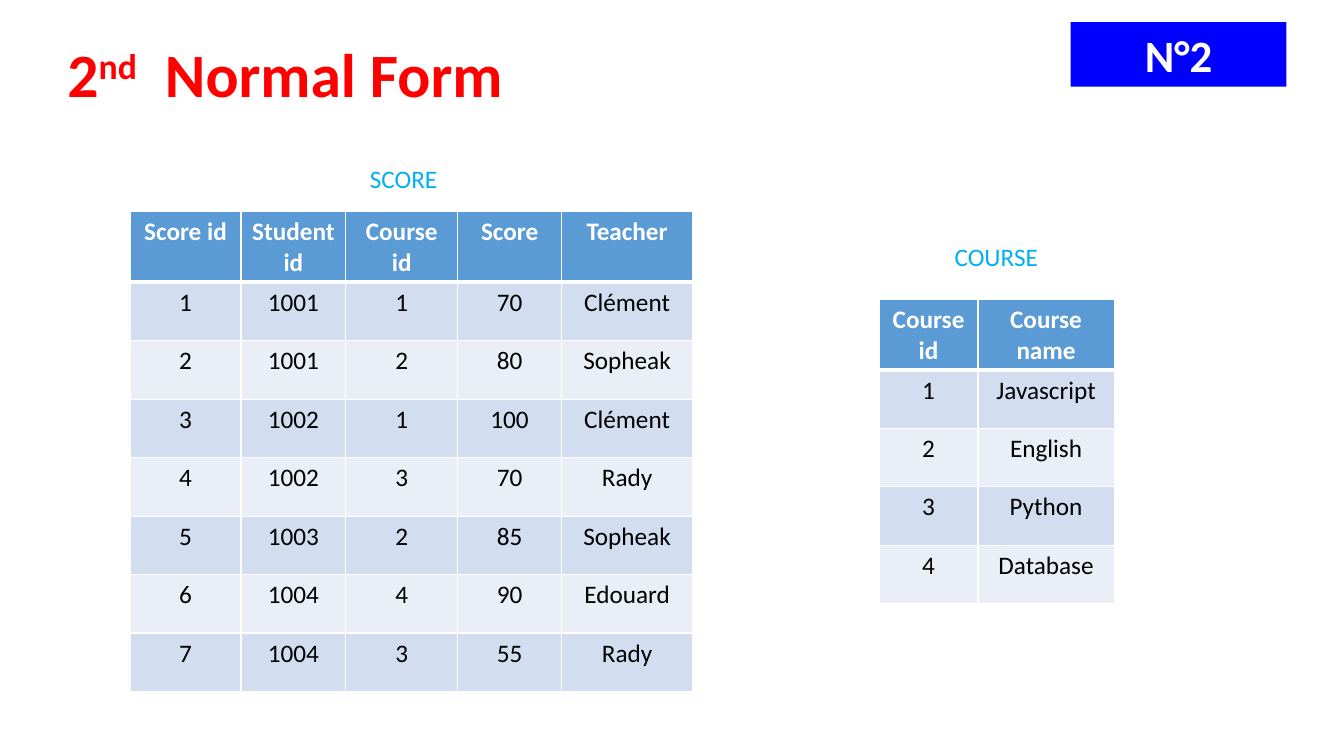
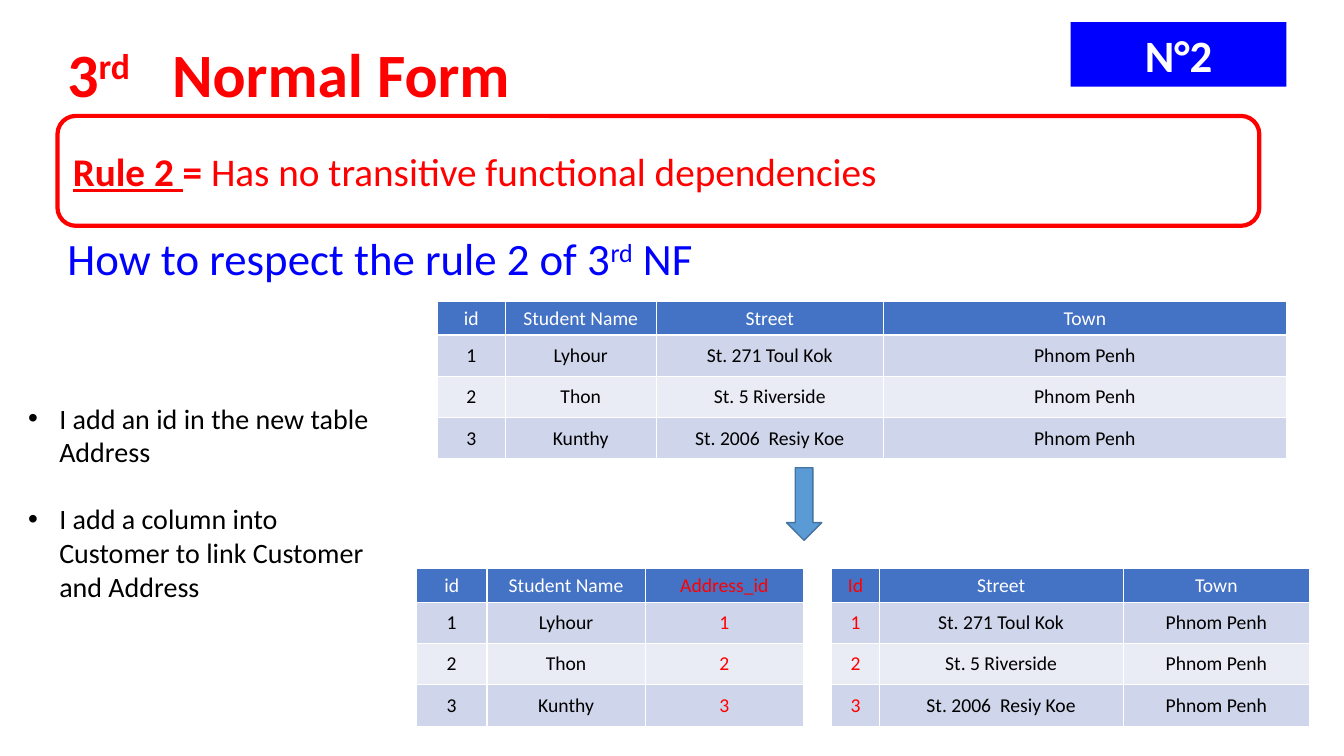
from lxml.etree import SubElement
from pptx import Presentation
from pptx.dml.color import RGBColor
from pptx.enum.shapes import MSO_SHAPE
from pptx.enum.text import MSO_ANCHOR, PP_ALIGN
from pptx.oxml.ns import qn
from pptx.util import Inches, Pt

FONT = "Calibri"
RED, BLUE, SKY = "FF0000", "0000FF", "00B0F0"
WHITE, BLACK = "FFFFFF", "000000"
ARROW_FILL, ARROW_LINE = "5B9BD5", "43739E"
HEADING = {"size": 44, "color": RED, "bold": True}
BADGE = {"size": 32, "color": WHITE, "bold": True}
CAPTION = {"size": 18, "color": SKY}
RULE = {"size": 28, "color": RED}
QUESTION = {"size": 32, "color": BLUE}
BULLET = {"size": 20, "color": BLACK}
RAISED = {"baseline": "30000"}

LARGE_TABLE = {
    "size": 18, "header_bold": True, "anchor": MSO_ANCHOR.TOP,
    "header": "5B9BD5", "bands": ("D2DEEF", "EAEFF7"),
    "header_height": 0.69, "row_height": 0.58, "header_rule": 3,
}
SMALL_TABLE = {
    "size": 14, "header_bold": False, "anchor": MSO_ANCHOR.MIDDLE,
    "header": "4472C4", "bands": ("CFD5EA", "E9EBF5"),
    "header_height": 0.33, "row_height": 0.41, "header_rule": 1,
}

SCORES = [
    ("Score id", "Student id", "Course id", "Score", "Teacher"),
    ("1", "1001", "1", "70", "Clément"),
    ("2", "1001", "2", "80", "Sopheak"),
    ("3", "1002", "1", "100", "Clément"),
    ("4", "1002", "3", "70", "Rady"),
    ("5", "1003", "2", "85", "Sopheak"),
    ("6", "1004", "4", "90", "Edouard"),
    ("7", "1004", "3", "55", "Rady"),
]
COURSES = [
    ("Course id", "Course name"),
    ("1", "Javascript"),
    ("2", "English"),
    ("3", "Python"),
    ("4", "Database"),
]
STUDENTS = [
    ("id", "Student Name", "Street", "Town"),
    ("1", "Lyhour", "St. 271 Toul Kok", "Phnom Penh"),
    ("2", "Thon", "St. 5 Riverside", "Phnom Penh"),
    ("3", "Kunthy", "St. 2006  Resiy Koe", "Phnom Penh"),
]
LINKED_STUDENTS = [
    (*row[:2], "Address_id" if index == 0 else row[0])
    for index, row in enumerate(STUDENTS)
]
ADDRESSES = [
    ("Id" if index == 0 else row[0], *row[2:])
    for index, row in enumerate(STUDENTS)
]


def rgb(value):
    return RGBColor.from_string(value)


def add_span(para, text, style, marks=None):
    span = para.add_run()
    span.text = text
    formats = {
        "name": FONT,
        "size": Pt(style["size"]),
        "bold": style.get("bold", False),
        "underline": style.get("underline", False),
    }
    for name, value in formats.items():
        setattr(span.font, name, value)
    span.font.color.rgb = rgb(style["color"])
    for name, value in (marks or {}).items():
        span._r.get_or_add_rPr().set(name, value)


def add_text(page, left, top, width, height, spans):
    box = page.shapes.add_textbox(*map(Inches, (left, top, width, height)))
    box.text_frame.word_wrap = True
    for span in spans:
        add_span(box.text_frame.paragraphs[0], *span)
    return box


def add_panel(page, kind, left, top, width, height, fill=None, line=None, line_width=1):
    panel = page.shapes.add_shape(kind, *map(Inches, (left, top, width, height)))
    panel.shadow.inherit = False
    for paint, color in ((panel.fill, fill), (panel.line.fill, line)):
        if color:
            paint.solid()
            paint.fore_color.rgb = rgb(color)
        else:
            paint.background()
    if line:
        panel.line.width = Pt(line_width)
    return panel


def add_header(page, number, suffix, gap):
    add_text(page, 0.57, 0.31, 5, 0.84, [
        (number, HEADING),
        (suffix, HEADING, RAISED),
        (" ", HEADING, {"spc": str(gap * 100)}),
        ("Normal Form", HEADING),
    ])
    badge = add_panel(page, MSO_SHAPE.RECTANGLE, 10.62, 0.22, 2.14, 0.64, fill=BLUE)
    para = badge.text_frame.paragraphs[0]
    para.alignment = PP_ALIGN.CENTER
    add_span(para, "N°2", BADGE)


def add_rule(page):
    panel = add_panel(page, MSO_SHAPE.ROUNDED_RECTANGLE, 0.57, 1.15, 11.92, 1.09,
                      line=RED, line_width=3)
    panel.text_frame.vertical_anchor = MSO_ANCHOR.MIDDLE
    para = panel.text_frame.paragraphs[0]
    para.alignment = PP_ALIGN.LEFT
    add_span(para, "Rule 2 ", {**RULE, "bold": True, "underline": True})
    add_span(para, "= ", {**RULE, "bold": True})
    add_span(para, "Has no transitive functional dependencies", RULE)


def add_bullets(page, left, top, width, height, items):
    box = add_text(page, left, top, width, height, [])
    indent = Inches(0.31)
    for index, item in enumerate(items):
        para = box.text_frame.add_paragraph() if index else box.text_frame.paragraphs[0]
        if index:
            para.space_before = Pt(24)
        properties = para._p.get_or_add_pPr()
        for name, value in {"marL": indent, "indent": -indent}.items():
            properties.set(name, str(value))
        SubElement(properties, qn("a:buFont"), typeface="Arial")
        SubElement(properties, qn("a:buChar"), char="•")
        add_span(para, item, BULLET)


def set_borders(cell, widths):
    properties = cell._tc.get_or_add_tcPr()
    for index, (side, width) in enumerate(widths.items()):
        border = properties.makeelement(qn(f"a:ln{side}"), {"w": str(Pt(width))})
        fill = SubElement(border, qn("a:solidFill"))
        SubElement(fill, qn("a:srgbClr"), val=WHITE)
        properties.insert(index, border)


def fill_cell(cell, text, style, row, is_key):
    is_header = row == 0
    cell.fill.solid()
    cell.fill.fore_color.rgb = rgb(style["header"] if is_header else style["bands"][(row - 1) % 2])
    cell.vertical_anchor = style["anchor"]
    para = cell.text_frame.paragraphs[0]
    para.alignment = PP_ALIGN.CENTER
    plain = WHITE if is_header else BLACK
    add_span(para, text, {
        "size": style["size"],
        "color": RED if is_key else plain,
        "bold": is_header and style["header_bold"],
    })
    rule = style["header_rule"]
    set_borders(cell, {
        "L": 1, "R": 1,
        "T": rule if row == 1 else 1,
        "B": rule if is_header else 1,
    })


def add_grid(page, left, top, widths, rows, style, key_column=None):
    heights = [style["header_height"]] + [style["row_height"]] * (len(rows) - 1)
    frame = page.shapes.add_table(
        len(rows), len(widths), *map(Inches, (left, top, sum(widths), sum(heights))))
    table = frame.table
    for column, width in zip(table.columns, widths):
        column.width = Inches(width)
    for index, (row, height) in enumerate(zip(table.rows, heights)):
        row.height = Inches(height)
        for position, text in enumerate(rows[index]):
            fill_cell(row.cells[position], text, style, index, position == key_column)


def build_second_form(page):
    add_header(page, "2", "nd", 10)
    add_grid(page, 1.29, 2.1, (1.1, 1.04, 1.11, 1.03, 1.3), SCORES, LARGE_TABLE)
    add_grid(page, 8.72, 2.97, (0.98, 1.35), COURSES, LARGE_TABLE)
    add_text(page, 3.57, 1.57, 1.03, 0.4, [("SCORE", CAPTION)])
    add_text(page, 9.37, 2.34, 1.03, 0.4, [("COURSE", CAPTION)])


def build_third_form(page):
    add_header(page, "3", "rd", 20)
    add_rule(page)
    add_text(page, 0.57, 2.24, 11.01, 0.64, [
        ("How to respect the rule 2 of 3", QUESTION),
        ("rd", QUESTION, RAISED),
        (" NF", QUESTION),
    ])
    add_grid(page, 4.34, 2.99, (0.67, 1.5, 2.25, 4), STUDENTS, SMALL_TABLE)
    add_panel(page, MSO_SHAPE.DOWN_ARROW, 7.8, 4.64, 0.35, 0.72,
              fill=ARROW_FILL, line=ARROW_LINE)
    add_bullets(page, 0.18, 3.93, 3.8, 2.42, [
        "I add an id in the new table Address",
        "I add a column into Customer to link Customer and Address",
    ])
    add_grid(page, 4.13, 5.64, (0.7, 1.57, 1.57), LINKED_STUDENTS, SMALL_TABLE, key_column=2)
    add_grid(page, 8.25, 5.64, (0.47, 2.42, 1.85), ADDRESSES, SMALL_TABLE, key_column=0)


def main():
    deck = Presentation()
    deck.slide_width = Inches(13.33)
    deck.slide_height = Inches(7.5)
    for build in (build_second_form, build_third_form):
        build(deck.slides.add_slide(deck.slide_layouts[6]))
    deck.save("out.pptx")


if __name__ == "__main__":
    main()
